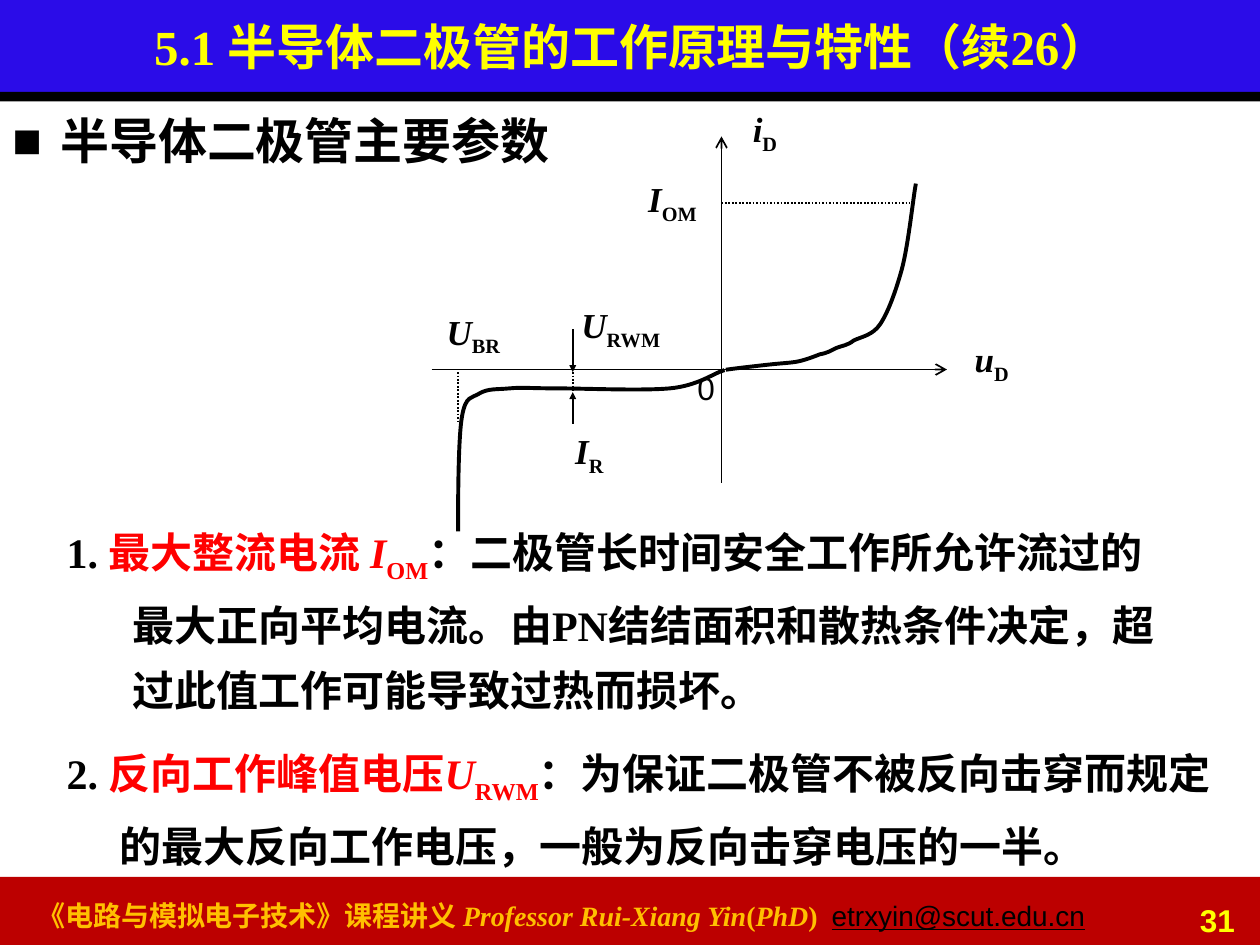
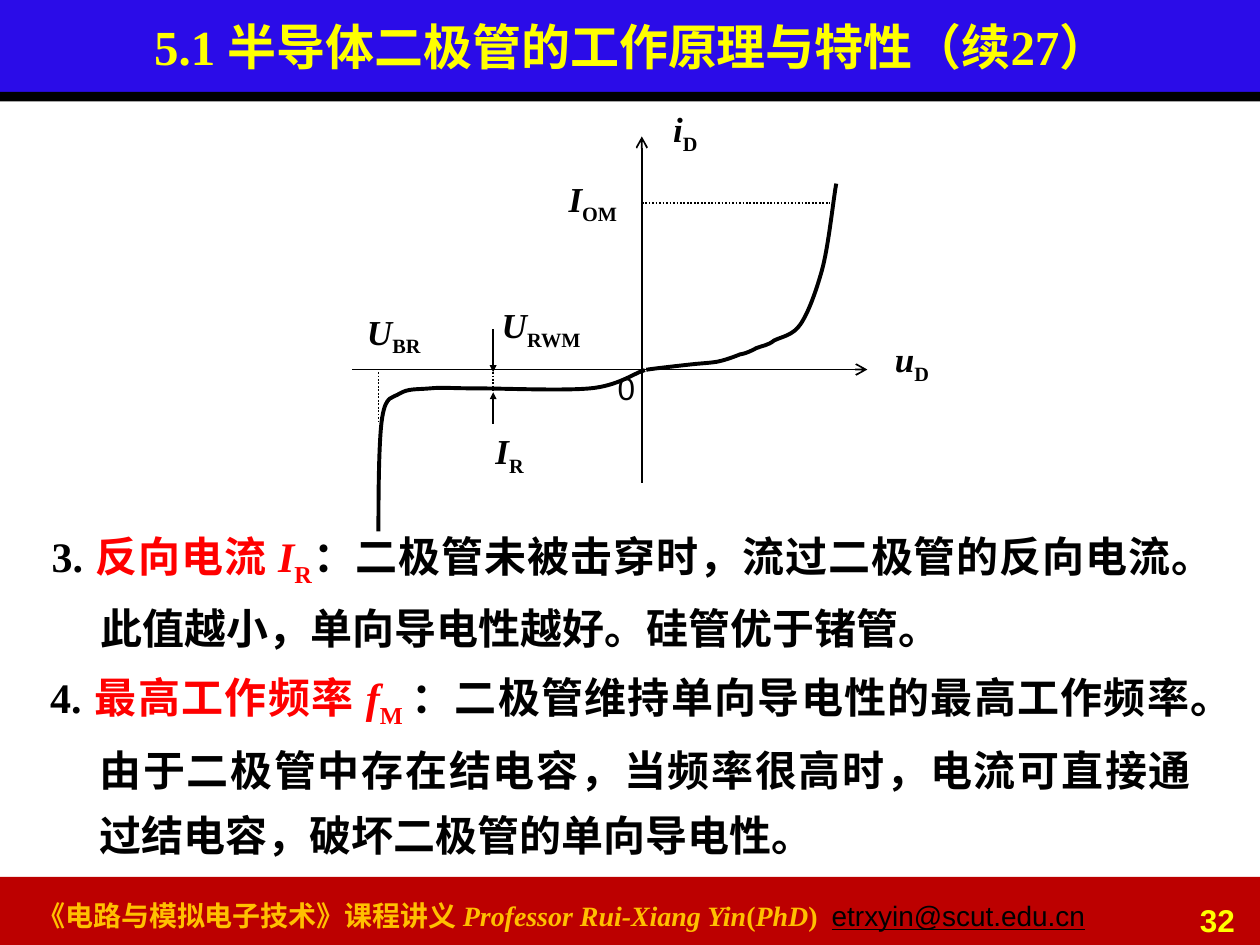
from lxml import etree
from pptx import Presentation
from pptx.dml.color import RGBColor
from pptx.enum.dml import MSO_LINE
from pptx.enum.lang import MSO_LANGUAGE_ID
from pptx.enum.shapes import MSO_CONNECTOR, MSO_SHAPE
from pptx.enum.text import MSO_ANCHOR, PP_ALIGN
from pptx.oxml.ns import qn
from pptx.util import Inches, Pt

BLACK = RGBColor(0x00, 0x00, 0x00)
RED = RGBColor(0xFF, 0x00, 0x00)
YELLOW = RGBColor(0xFF, 0xFF, 0x00)
GOLD = RGBColor(0xFF, 0xC0, 0x00)
TITLE_BLUE = RGBColor(0x2B, 0x0C, 0xE8)
FOOTER_RED = RGBColor(0xBC, 0x00, 0x00)

RECTANGLE = MSO_SHAPE.RECTANGLE
STRAIGHT = MSO_CONNECTOR.STRAIGHT
DOTTED = MSO_LINE.ROUND_DOT
MIDDLE = MSO_ANCHOR.MIDDLE
CENTER, RIGHT, JUSTIFY = PP_ALIGN.CENTER, PP_ALIGN.RIGHT, PP_ALIGN.JUSTIFY
CHINESE = MSO_LANGUAGE_ID.SIMPLIFIED_CHINESE

COLUMNS, ROWS = 100, 75
SERIF, SANS = "Times New Roman", "Arial"

# Text formats
TITLE = dict(name=SERIF, size=Pt(28), bold=True, color=YELLOW)
HEADING = {**TITLE, "color": BLACK}
BODY = {**HEADING, "size": Pt(24)}
TERM = {**BODY, "color": RED}
SYMBOL = {**BODY, "size": Pt(20)}
ORIGIN = dict(name=SANS, size=Pt(18), color=BLACK)
PAGE = dict(name=SANS, size=Pt(18), bold=True, color=YELLOW)
COURSE = dict(name=SERIF, size=Pt(16), bold=True, color=GOLD)
AUTHOR = {**COURSE, "italic": True}
EMAIL = dict(name=SANS, size=Pt(16), underline=True, color=BLACK)

# Arrowheads
OPEN_HEAD = dict(type="arrow")
SMALL_HEAD = dict(type="triangle", w="sm", len="sm")

# Diode characteristic, in grid cells measured from the origin of the axes;
# each curve is a start point followed by triples of Bézier points.
FORWARD = [
    (15.4, -14.6), (15.2, -13.5), (14.8, -9.7), (14.3, -7.9),
    (13.8, -6.1), (13.2, -4.5), (12.6, -3.6),
    (12, -2.7), (11.1, -2.6), (10.5, -2.3),
    (10, -1.9), (9.6, -1.9), (9.1, -1.7),
    (8.7, -1.5), (8.4, -1.3), (7.8, -1.2),
    (7.3, -1), (6.5, -0.7), (5.9, -0.6),
    (5.2, -0.5), (4.8, -0.5), (3.9, -0.4),
    (3, -0.3), (1.2, -0.1), (0.5, 0),
]
REVERSE = [
    (0.1, 0.1), (-0.6, 0.3), (-1.9, 1.3), (-4.1, 1.5),
    (-6.3, 1.7), (-11, 1.5), (-13.1, 1.5),
    (-15.2, 1.5), (-15.8, 1.4), (-16.8, 1.5),
    (-17.9, 1.6), (-18.5, 1.5), (-19.2, 1.9),
    (-19.8, 2.3), (-20.3, 2), (-20.6, 3.8),
    (-20.9, 5.6), (-20.9, 10.8), (-20.9, 12.7),
]
WORKING_X, BREAKDOWN_X = -11.8, -20.9
AXES_AND_MARKS = [
    ((-23, 0), (17.9, 0), dict(head=OPEN_HEAD)),
    ((0, 9), (0, -18.5), dict(head=OPEN_HEAD)),
    ((0, -13.2), (14.9, -13.2), dict(dash=DOTTED)),
    ((WORKING_X, 0.2), (WORKING_X, 1.8), dict(dash=DOTTED)),
    ((BREAKDOWN_X, 0.2), (BREAKDOWN_X, 4.3), dict(dash=DOTTED)),
    ((WORKING_X, 4.3), (WORKING_X, 1.8), dict(head=SMALL_HEAD)),
    ((WORKING_X, -3.2), (WORKING_X, 0.2), dict(head=SMALL_HEAD)),
]
# letter, subscript, left, top, width
QUANTITIES = [
    ("u", "D", 19.1, -3, 4.9),
    ("i", "D", 1.5, -21.3, 4.1),
    ("U", "RWM", -12.1, -5.7, 9),
    ("I", "R", -12.6, 4.3, 4.5),
    ("I", "OM", -6.8, -15.7, 6.3),
    ("U", "BR", -22.8, -5.2, 6.6),
]


def symbol(letter, subscript, style):
    """Runs for an italic quantity with an upright subscript."""
    return [(letter, {**style, "italic": True}),
            (subscript, {**style, "baseline": -25000})]


def definition(number, term, letter, subscript, meaning):
    return [(number, BODY), (term, TERM), *symbol(letter, subscript, TERM),
            (meaning, BODY)]


def bend(outline):
    """Turn each three line segments of a freeform into one Bézier curve."""
    segments = list(outline.iter(qn("a:lnTo")))
    for first in range(0, len(segments), 3):
        bezier = etree.Element(qn("a:cubicBezTo"))
        segments[first].addprevious(bezier)
        for segment in segments[first:first + 3]:
            bezier.append(segment[0])
            segment.getparent().remove(segment)


class Lecture:
    def __init__(self):
        self.deck = Presentation()
        self.deck.slide_width, self.deck.slide_height = Inches(10), Inches(7.5)
        self.slide = None

    def cells(self, *lengths):
        """Turn alternating column and row counts into lengths."""
        units = (self.deck.slide_width / COLUMNS, self.deck.slide_height / ROWS)
        return [round(n * units[i % 2]) for i, n in enumerate(lengths)]

    def band(self, top, height, color):
        bar = self.slide.shapes.add_shape(
            RECTANGLE, *self.cells(-0.2, top, COLUMNS + 0.4, height))
        bar.shadow.inherit = False
        bar.fill.solid()
        bar.fill.fore_color.rgb = color
        bar.line.fill.background()

    def text(self, box, runs, wrap=True, anchor=None, hanging=0, bullet=None,
             **paragraph_format):
        frame = self.slide.shapes.add_textbox(*self.cells(*box)).text_frame
        frame.word_wrap = wrap
        if anchor is not None:
            frame.vertical_anchor = anchor
        paragraph = frame.paragraphs[0]
        for key, value in paragraph_format.items():
            setattr(paragraph, key, value)
        if hanging:
            properties = paragraph._p.get_or_add_pPr()
            indent = self.cells(hanging)[0]
            properties.set("marL", str(indent))
            properties.set("indent", str(-indent))
            if bullet:
                etree.SubElement(properties, qn("a:buFont")).set("typeface", SANS)
                etree.SubElement(properties, qn("a:buChar")).set("char", bullet)
        for words, style in runs:
            self.run(paragraph, words, style)

    def run(self, paragraph, words, style):
        run = paragraph.add_run()
        run.text = words
        run.font.language_id = CHINESE
        for key, value in style.items():
            if key == "color":
                run.font.color.rgb = value
            elif key == "baseline":
                run._r.get_or_add_rPr().set("baseline", str(value))
            else:
                setattr(run.font, key, value)

    def line(self, start, end, head=None, dash=None):
        stroke = self.slide.shapes.add_connector(
            STRAIGHT, *self.cells(*start, *end))
        stroke.line.color.rgb = BLACK
        stroke.line.width = Pt(1)
        if dash is not None:
            stroke.line.dash_style = dash
        if head:
            etree.SubElement(stroke.line._get_or_add_ln(), qn("a:tailEnd"), head)
        etree.SubElement(stroke._element.spPr, qn("a:effectLst"))

    def curve(self, controls):
        start, *rest = [self.cells(*point) for point in controls]
        builder = self.slide.shapes.build_freeform(*start)
        builder.add_line_segments(rest, close=False)
        trace = builder.convert_to_shape()
        bend(trace._element)
        trace.shadow.inherit = False
        trace.fill.background()
        trace.line.color.rgb = BLACK
        trace.line.width = Pt(2.25)
        trace.line._get_or_add_ln().set("cap", "sq")

    def new_slide(self, part, page):
        """Start a slide with its bands, title, footer and page number."""
        self.slide = self.deck.slides.add_slide(self.deck.slide_layouts[6])
        self.band(69.6, 5.6, FOOTER_RED)
        self.band(0, 7.6, TITLE_BLUE)
        self.band(7.3, 0.75, BLACK)
        self.text((2, 70.8, 88.2, 3.7), [
            ("《电路与模拟电子技术》课程讲义 ", COURSE),
            ("Professor Rui-Xiang Yin", AUTHOR), ("(", COURSE),
            ("PhD", AUTHOR), (")  ", COURSE), ("etrxyin@scut.edu.cn", EMAIL)])
        self.text((0, 0, COLUMNS + 0.2, 7.3),
                  [(f"5.1 半导体二极管的工作原理与特性（续{part}）", TITLE)],
                  anchor=MIDDLE, alignment=CENTER)
        self.text((89.6, 71.05, 9.4, 3.1), [(str(page), PAGE)], alignment=RIGHT)

    def diode_characteristic(self, origin_x, origin_y=29.33):
        def place(point):
            return origin_x + point[0], origin_y + point[1]

        for branch in (FORWARD, REVERSE):
            self.curve([place(point) for point in branch])
        for start, end, style in AXES_AND_MARKS:
            self.line(place(start), place(end), **style)
        for letter, subscript, left, top, width in QUANTITIES:
            self.text((*place((left, top)), width, 4.4),
                      symbol(letter, subscript, SYMBOL), wrap=False)
        self.text((*place((-2.9, -0.5)), 3.7, 5), [("0", ORIGIN)], wrap=False)


def main():
    lecture = Lecture()

    lecture.new_slide(26, 31)
    lecture.text((0, 8.3, 97.2, 6), [("半导体二极管主要参数", HEADING)],
                 hanging=3.8, bullet="■")
    lecture.diode_characteristic(57.26)
    lecture.text((4.3, 39.95, 89.6, 16.8), definition(
        "1. ", "最大整流电流 ", "I", "OM",
        "：二极管长时间安全工作所允许流过的最大正向平均电流。"
        "由PN结结面积和散热条件决定，超过此值工作可能导致过热而损坏。"),
        hanging=5.2, line_spacing=1.3)
    lecture.text((4.3, 57.5, 93.5, 11.5), definition(
        "2. ", "反向工作峰值电压", "U", "RWM",
        "：为保证二极管不被反向击穿而规定的最大反向工作电压，"
        "一般为反向击穿电压的一半。"),
        hanging=4.2, line_spacing=1.3)

    lecture.new_slide(27, 32)
    lecture.diode_characteristic(50.94)
    lecture.text((3.12, 40.25, 94.2, 11), definition(
        "3. ", "反向电流 ", "I", "R",
        "：二极管未被击穿时，流过二极管的反向电流。"
        "此值越小，单向导电性越好。硅管优于锗管。"),
        hanging=3.9, line_spacing=1.3, alignment=JUSTIFY)
    lecture.text((3, 51.45, 92.5, 16.8), definition(
        "4. ", "最高工作频率 ", "f", "M ",
        "：二极管维持单向导电性的最高工作频率。由于二极管中存在结电容，"
        "当频率很高时，电流可直接通过结电容，破坏二极管的单向导电性。"),
        hanging=3.9, line_spacing=1.3, alignment=JUSTIFY)

    lecture.deck.save("out.pptx")


if __name__ == "__main__":
    main()
